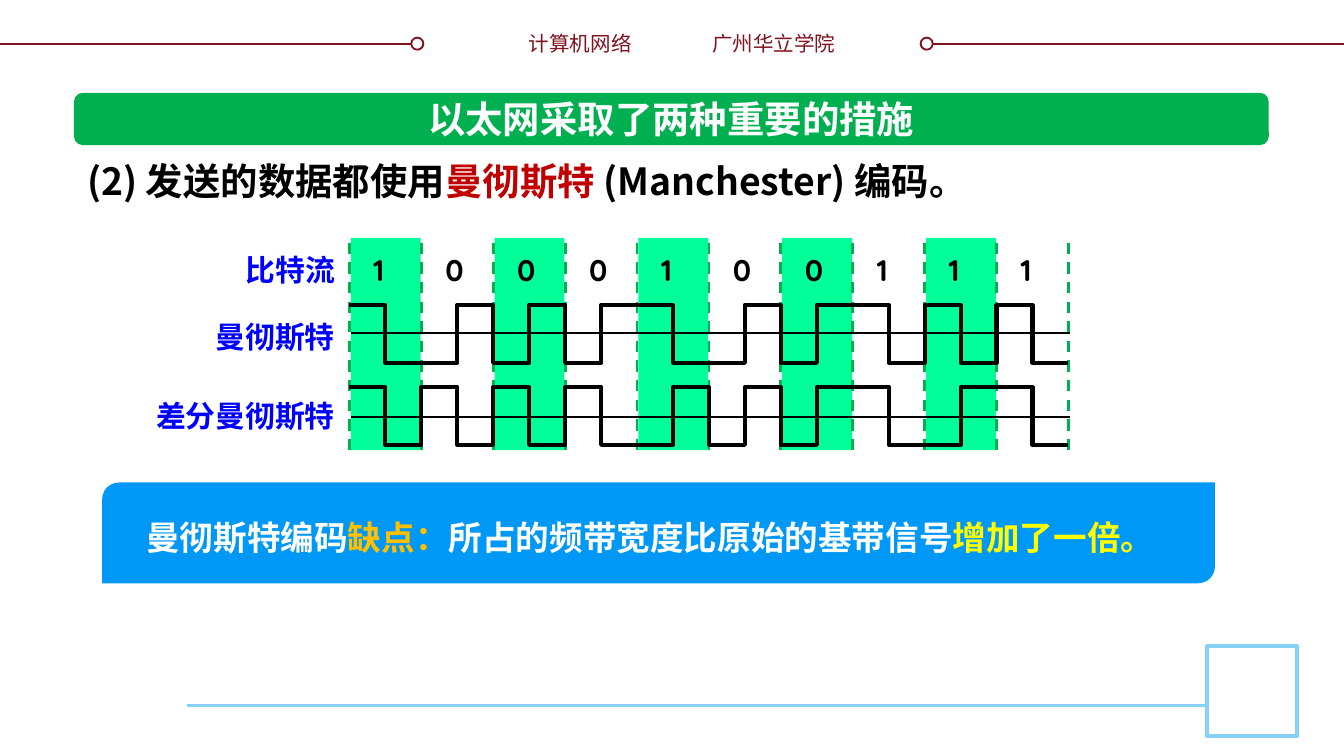
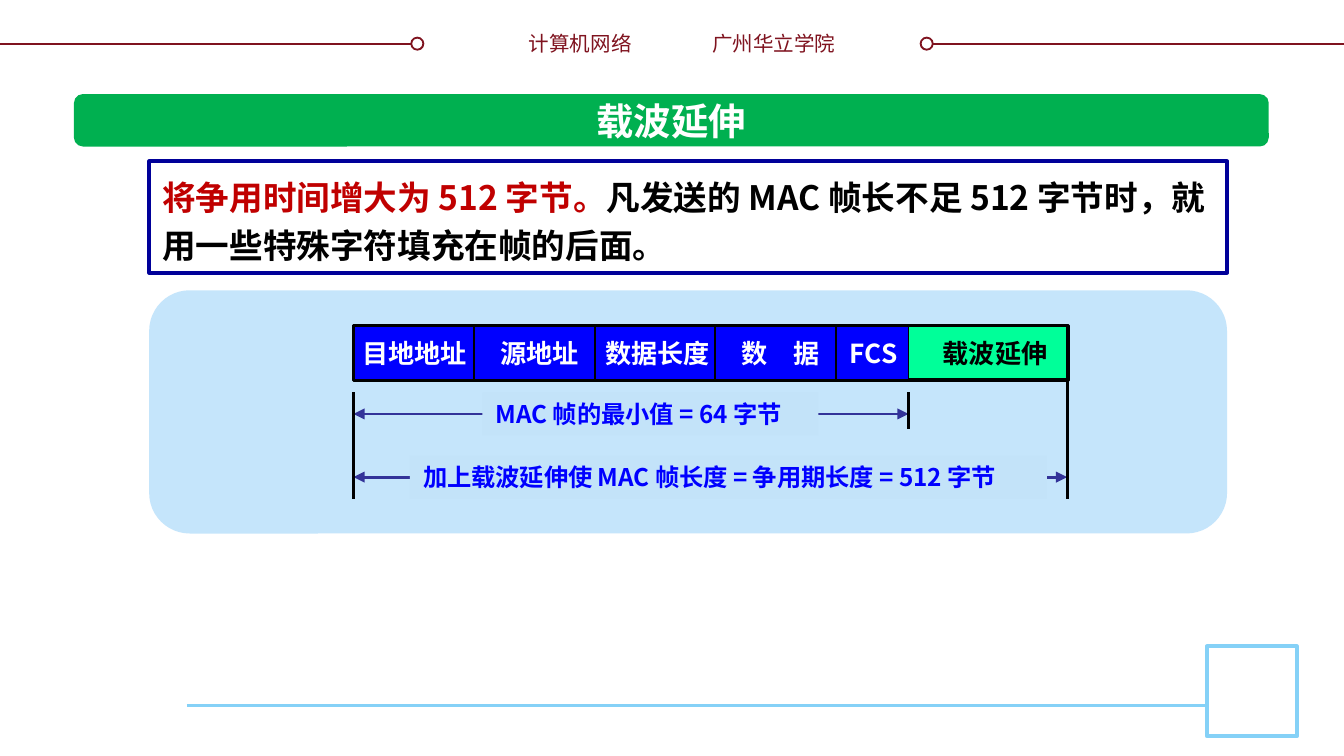
from itertools import pairwise

from lxml.etree import SubElement
from pptx import Presentation
from pptx.dml.color import RGBColor
from pptx.enum.dml import MSO_LINE
from pptx.enum.shapes import MSO_CONNECTOR, MSO_SHAPE
from pptx.enum.text import MSO_ANCHOR, PP_ALIGN
from pptx.oxml.ns import qn
from pptx.util import Emu, Inches, Pt

COLORS = {
    "white": "FFFFFF", "black": "000000", "maroon": "7F131F", "sky": "85D1F7",
    "green": "00B050", "mint": "00FF99", "blue": "0000FF", "callout": "0098F6",
    "red": "C00000", "orange": "FFC000", "yellow": "FFFF00", "panel": "C5E5FB",
    "label": "C3E3F9", "arrow": "333399", "navy": "000099",
}
CJK = "Noto Sans CJK SC"
LATIN = "Quicksand"
CENTER, LEFT, RIGHT = PP_ALIGN.CENTER, PP_ALIGN.LEFT, PP_ALIGN.RIGHT

# The slide is 100 columns wide; rows are as tall as columns are wide
SLIDE_WIDTH = Inches(10)
SLIDE_HEIGHT = SLIDE_WIDTH * 9 // 16
COLUMNS = 100

# Signal chart: one cell for each bit
BITS = "1000100111"
BIT_LEFT, BIT_WIDTH = 26, 5.35

# Frame chart: text, left edge of the field, left and width of its text
FIELDS = [
    ("目地地址", 26.3, 25.9, 9.9),
    ("源地址", 35.3, 36.2, 7.9),
    ("数据长度", 44.3, 44, 9.9),
    ("数　据", 53.2, 54, 8.2),
    ("FCS", 62.2, 62.2, 5.6),
]
FRAME_LEFT, MAC_END, FRAME_END = 26.3, 67.6, 79.4


def grid(count):
    return Emu(round(count * SLIDE_WIDTH / COLUMNS))


def color(name):
    return RGBColor.from_string(COLORS[name])


def style_line(line, name, width):
    line.color.rgb = color(name)
    line.width = Pt(width)


def write(shape, spans, size, align=LEFT, font=CJK, bold=True, wrap=False, spacing=None):
    """Fill a shape with one paragraph of (text, colour) spans."""
    frame = shape.text_frame
    frame.word_wrap = wrap
    frame.vertical_anchor = MSO_ANCHOR.MIDDLE
    para = frame.paragraphs[0]
    para.alignment = align
    if spacing:
        para.line_spacing = Pt(spacing)
    for text, name in spans:
        span = para.add_run()
        span.text = text
        span.font.size = Pt(size)
        span.font.bold = bold
        span.font.color.rgb = color(name)
        span.font.name = font
        SubElement(span.font._element, qn("a:ea")).set("typeface", font)


def add_text(page, area, spans, size, **options):
    box = page.shapes.add_textbox(*map(grid, area))
    write(box, spans, size, **options)


def add_block(page, area, fill, kind=MSO_SHAPE.RECTANGLE, line=None, width=1):
    block = page.shapes.add_shape(kind, *map(grid, area))
    block.shadow.inherit = False
    block.fill.solid()
    block.fill.fore_color.rgb = color(fill)
    if line:
        style_line(block.line, line, width)
    else:
        block.line.fill.background()
    return block


def add_line(page, start, end, name, width, dashed=False, arrows=False):
    line = page.shapes.add_connector(MSO_CONNECTOR.STRAIGHT, *map(grid, start + end))
    style_line(line.line, name, width)
    if dashed:
        line.line.dash_style = MSO_LINE.DASH
    if arrows:
        for tag in ("a:headEnd", "a:tailEnd"):
            SubElement(line.line._get_or_add_ln(), qn(tag)).set("type", "triangle")
    SubElement(line._element.spPr, qn("a:effectLst"))


def add_page(deck, title, title_top):
    """Add a slide with the shared header, footer and title band."""
    page = deck.slides.add_slide(deck.slide_layouts[6])
    # Header
    for line_left, dot_left in ((0, 30.6), (68.5, 68.5)):
        add_line(page, (line_left, 3.3), (line_left + 31.5, 3.3), "maroon", 1)
        add_block(page, (dot_left, 2.8, 0.9, 0.9), "white", MSO_SHAPE.OVAL, "maroon")
    add_text(page, (38.3, 1.8, 9.7, 2.9), [("计算机网络", "maroon")], 11,
             align=RIGHT, bold=False)
    add_text(page, (52, 1.8, 11.6, 2.9), [("广州华立学院", "maroon")], 11, bold=False)
    # Footer
    add_line(page, (13.9, 52.5), (89.8, 52.5), "sky", 1.5)
    add_block(page, (89.8, 48.1, 6.7, 6.7), "white", line="sky", width=2)
    # Title band
    band = add_block(page, (5.5, title_top, 88.9, 3.9), "green", MSO_SHAPE.ROUNDED_RECTANGLE)
    band.adjustments[0] = 0.17
    write(band, [(title, "white")], 20, align=CENTER)
    return page


def manchester(bits):
    """Half-bit levels: 1 falls in mid-bit, 0 rises."""
    return [level for bit in bits for level in ((1, 0) if bit == "1" else (0, 1))]


def differential(bits):
    """Half-bit levels: always a mid-bit change, and one at the start of a 0."""
    levels, level = [], 1
    for index, bit in enumerate(bits):
        if index and bit == "0":
            level = 1 - level
        levels += [level, 1 - level]
        level = 1 - level
    return levels


def add_wave(page, levels, top, height=4.3):
    points = []
    for index, level in enumerate(levels):
        y = grid(top + height * (1 - level))
        points += [(grid(BIT_LEFT + (index + side) * BIT_WIDTH / 2), y) for side in (0, 1)]
    corners = [points[0]] + [after for before, after in pairwise(points) if before != after]
    builder = page.shapes.build_freeform(*corners[0], scale=1.0)
    builder.add_line_segments(corners[1:], close=False)
    wave = builder.convert_to_shape()
    wave.shadow.inherit = False
    wave.fill.background()
    style_line(wave.line, "black", 2.25)


def add_signal_chart(page):
    # Shaded cells and dashed bit borders
    for index in range(0, len(BITS), 2):
        add_block(page, (BIT_LEFT + 0.1 + index * BIT_WIDTH, 17.7, 5.2, 15.8), "mint")
    for index in range(len(BITS) + 1):
        x = BIT_LEFT + index * BIT_WIDTH
        add_line(page, (x, 33.5), (x, 17.6), "green", 1.5, dashed=True)
    # Bit values
    for index, bit in enumerate(BITS):
        add_text(page, (BIT_LEFT + 0.8 + index * BIT_WIDTH, 18.2, 3.8, 3.7),
                 [(bit, "black")], 16, font=LATIN)
    # Row labels, signals and their middle lines
    for text, top in (("比特流", 18.2), ("曼彻斯特", 23.2), ("差分曼彻斯特", 29.1)):
        add_text(page, (5.5, top, 20.4, 3.7), [(text, "blue")], 16, align=RIGHT, wrap=True)
    for levels, top, middle in ((manchester(BITS), 22.7, 24.8),
                                (differential(BITS), 28.8, 31)):
        add_wave(page, levels, top)
        add_line(page, (26.1, middle), (79.6, middle), "black", 1)


def add_measure(page, end, y, label_area, text):
    """Draw a double arrow from the frame's start with a label on it."""
    add_line(page, (FRAME_LEFT, y), (end, y), "arrow", 1.5, arrows=True)
    write(add_block(page, label_area, "label"), [(text, "blue")], 13)


def add_frame_chart(page):
    # Fields of the frame
    add_block(page, (FRAME_LEFT, 24.2, 53.2, 4.1), "blue", line="black", width=1.5)
    for text, edge, text_left, text_width in FIELDS:
        if edge > FRAME_LEFT:
            add_line(page, (edge, 24.2), (edge, 28.4), "black", 1)
        add_text(page, (text_left, 24.6, text_width, 3.3), [(text, "white")], 14, align=CENTER)
    add_block(page, (MAC_END, 24.3, 11.8, 3.9), "mint", line="black", width=0.75)
    add_text(page, (69.1, 24.6, 9.9, 3.3), [("载波延伸", "black")], 14, align=CENTER)
    # Lengths
    add_measure(page, MAC_END, 30.8, (35.9, 29.2, 25, 3.2), "MAC 帧的最小值 = 64 字节")
    add_measure(page, FRAME_END, 35.5, (30.5, 33.9, 47.4, 3.2),
                "加上载波延伸使 MAC 帧长度 = 争用期长度 = 512 字节")
    for x, top, bottom in ((FRAME_LEFT, 29.2, 37.1), (MAC_END, 29.2, 31.9),
                           (FRAME_END, 28.2, 37.1)):
        add_line(page, (x, top), (x, bottom), "black", 1.5)


def add_encoding_page(deck):
    page = add_page(deck, "以太网采取了两种重要的措施", 6.9)
    add_text(page, (5.5, 10.8, 83.9, 4.8),
             [("(2) 发送的数据都使用", "black"), ("曼彻斯特 ", "red"),
              ("(Manchester) 编码。", "black")], 20, wrap=True, spacing=27)
    add_signal_chart(page)
    add_block(page, (7.6, 35.9, 82.8, 7.5), "callout", MSO_SHAPE.ROUND_2_DIAG_RECTANGLE)
    add_text(page, (9.9, 37.2, 81.6, 4.8),
             [("曼彻斯特编码", "white"), ("缺点：", "orange"),
              ("所占的频带宽度比原始的基带信号", "white"), ("增加了一倍。", "yellow")],
             18, wrap=True, spacing=27)


def add_extension_page(deck):
    page = add_page(deck, "载波延伸", 7)
    add_block(page, (11.1, 21.6, 80.2, 18.1), "panel", MSO_SHAPE.ROUNDED_RECTANGLE)
    add_frame_chart(page)
    note = add_block(page, (11.1, 12, 80.2, 8.3), "white", line="navy", width=2)
    write(note, [("将争用时间增大为 512 字节。", "red"),
                 ("凡发送的 MAC 帧长不足 512 字节时，就用一些特殊字符填充在帧的后面。", "black")],
          18, wrap=True, spacing=26)


def main():
    deck = Presentation()
    deck.slide_width = SLIDE_WIDTH
    deck.slide_height = SLIDE_HEIGHT
    add_encoding_page(deck)
    add_extension_page(deck)
    deck.save("out.pptx")


if __name__ == "__main__":
    main()
